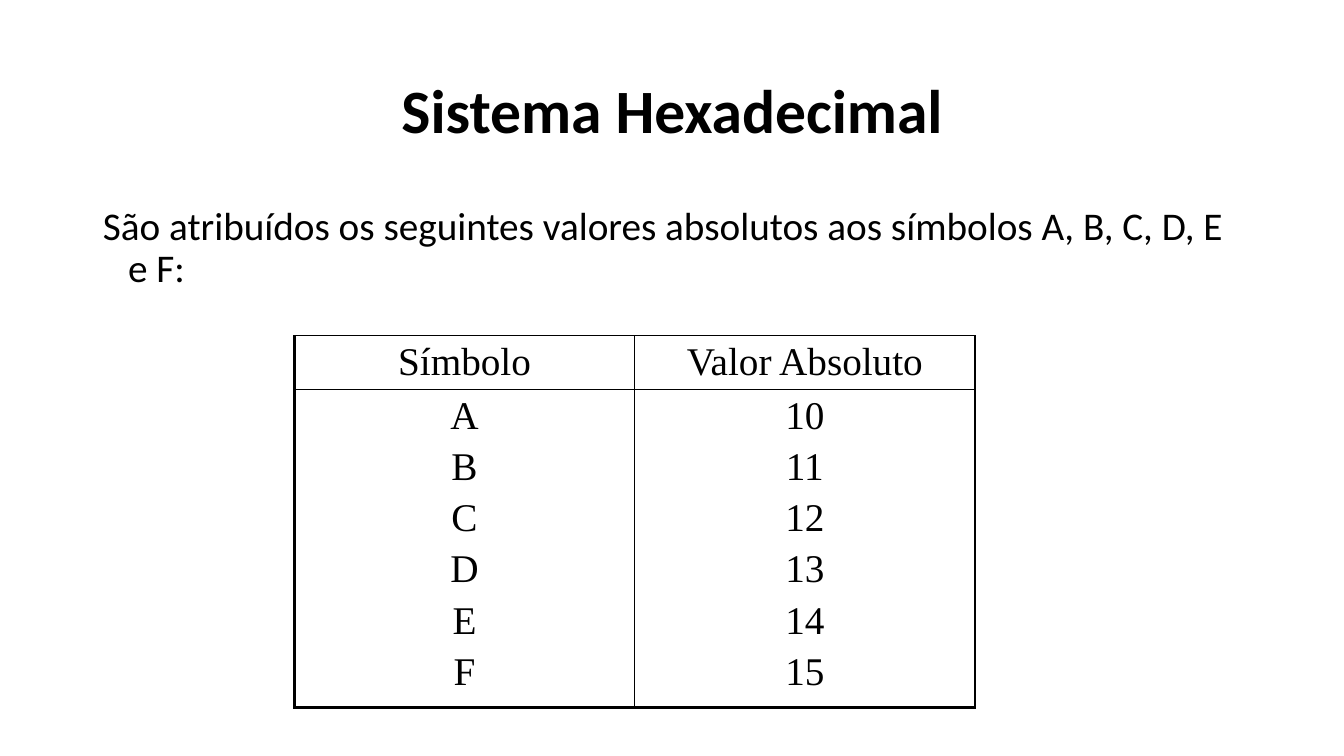
from lxml.etree import SubElement
from pptx import Presentation
from pptx.dml.color import RGBColor
from pptx.enum.text import MSO_ANCHOR, MSO_AUTO_SIZE, PP_ALIGN
from pptx.oxml.ns import qn
from pptx.util import Inches, Pt

BLACK = "000000"
THIN, THICK = 1, 2.25
COLUMNS = [
    ("Símbolo", ["A", "B", "C", "D", "E", "F"]),
    ("Valor Absoluto", ["10", "11", "12", "13", "14", "15"]),
]


def set_font(paragraph, name, size, color=BLACK, bold=False):
    font = paragraph.font
    font.name, font.size, font.bold = name, Pt(size), bold
    font.color.rgb = RGBColor.from_string(color)


def fill_placeholder(shape, text, left, top, width, height, size, bold=False):
    shape.left, shape.top = Inches(left), Inches(top)
    shape.width, shape.height = Inches(width), Inches(height)
    frame = shape.text_frame
    frame.text = text
    frame.word_wrap = True
    frame.auto_size = MSO_AUTO_SIZE.NONE
    paragraph = frame.paragraphs[0]
    paragraph.line_spacing = 0.9
    set_font(paragraph, "Calibri", size, bold=bold)
    return paragraph


def set_borders(cell, widths, color=BLACK):
    properties = cell._tc.get_or_add_tcPr()
    for side, width in zip("LRTB", widths):
        line = SubElement(properties, qn(f"a:ln{side}"), w=str(Pt(width)))
        fill = SubElement(line, qn("a:solidFill"))
        SubElement(fill, qn("a:srgbClr"), val=color)


def fill_cell(cell, lines, borders):
    set_borders(cell, borders)
    cell.fill.background()
    cell.text_frame.text = "\n".join(lines)
    for paragraph in cell.text_frame.paragraphs:
        paragraph.alignment = PP_ALIGN.CENTER
        set_font(paragraph, "Times New Roman", 28)
        # Space before as a share of the font size
        spacing = paragraph._p.get_or_add_pPr().get_or_add_spcBef()
        SubElement(spacing, qn("a:spcPct"), val="20000")


def add_symbol_table(slide):
    frame = slide.shapes.add_table(
        2, len(COLUMNS), Inches(2.92), Inches(3.33), Inches(6.75), Inches(3.66))
    table = frame.table
    table.first_row = table.horz_banding = False
    for row, height in zip(table.rows, (0.5, 3.16)):
        row.height = Inches(height)
    for index, (heading, values) in enumerate(COLUMNS):
        left, right = (THICK, THIN) if index == 0 else (THIN, THICK)
        fill_cell(table.cell(0, index), [heading], (left, right, THIN, THIN))
        fill_cell(table.cell(1, index), values, (left, right, THIN, THICK))


def main():
    presentation = Presentation()
    presentation.slide_width = Inches(13.33)
    presentation.slide_height = Inches(7.5)
    slide = presentation.slides.add_slide(presentation.slide_layouts[1])
    title, body = slide.shapes.title, slide.placeholders[1]

    # Title
    heading = fill_placeholder(
        title, "Sistema Hexadecimal", 0.92, 0.4, 11.5, 1.45, 44, bold=True)
    heading.alignment = PP_ALIGN.CENTER
    title.text_frame.vertical_anchor = MSO_ANCHOR.MIDDLE

    # Introduction with a hanging indent and no bullet
    introduction = fill_placeholder(
        body,
        "São atribuídos os seguintes valores absolutos aos símbolos A, B, C, D, E e F:",
        0.92, 2, 11.5, 4.76, 28)
    introduction.space_before = Pt(10)
    properties = introduction._p.get_or_add_pPr()
    properties.set("marL", str(Inches(0.25)))
    properties.set("indent", str(Inches(-0.25)))
    bullet = SubElement(properties, qn("a:buNone"))
    properties.find(qn("a:spcBef")).addnext(bullet)

    # Table of symbols and values
    add_symbol_table(slide)
    presentation.save("out.pptx")


if __name__ == "__main__":
    main()
